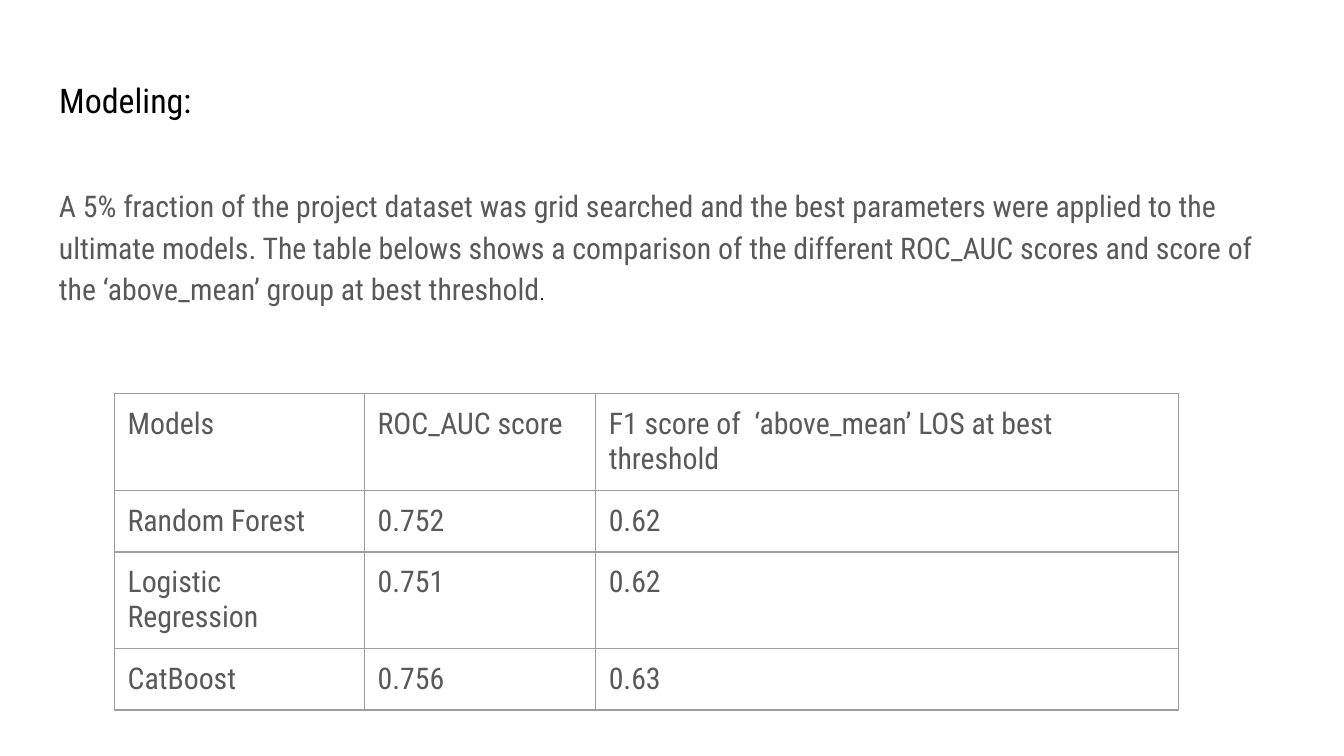
import pptx
import pptx.dml.color
import pptx.enum.text
import pptx.oxml
import pptx.oxml.ns
import pptx.util

Inches = pptx.util.Inches
FONT = "Roboto Condensed"
BLACK, GREY, BORDER = "000000", "595959", "9E9E9E"
PADDING = Inches(0.1)


def color(hex_string):
    return pptx.dml.color.RGBColor.from_string(hex_string)


def add_run(paragraph, text, size, hex_string, font=FONT):
    run = paragraph.add_run()
    run.text = text
    run.font.size = pptx.util.Pt(size)
    run.font.name = font
    run.font.color.rgb = color(hex_string)


def format_frame(frame):
    frame.word_wrap = True
    frame.auto_size = pptx.enum.text.MSO_AUTO_SIZE.NONE
    frame.vertical_anchor = pptx.enum.text.MSO_ANCHOR.TOP
    frame.margin_left = frame.margin_right = PADDING
    frame.margin_top = frame.margin_bottom = PADDING


def place_title(slide, left, top, width, height):
    title = slide.shapes.title
    title.left, title.top = Inches(left), Inches(top)
    title.width, title.height = Inches(width), Inches(height)
    format_frame(title.text_frame)
    paragraph = title.text_frame.paragraphs[0]
    paragraph.alignment = pptx.enum.text.PP_ALIGN.LEFT
    add_run(paragraph, "Modeling:", 18.2, BLACK)


def place_summary(slide, left, top, width, height):
    summary = slide.shapes.add_textbox(
        Inches(left), Inches(top), Inches(width), Inches(height))
    format_frame(summary.text_frame)
    paragraph = summary.text_frame.paragraphs[0]
    paragraph.line_spacing = 1.15
    paragraph.space_after = pptx.util.Pt(12)
    add_run(paragraph,
            "A 5% fraction of the project dataset was grid searched and the best "
            "parameters were applied to the ultimate models. The table belows shows "
            "a comparison of the different ROC_AUC scores and score of the "
            "‘above_mean’ group at best threshold", 16, GREY)
    add_run(paragraph, ".", 10.5, BLACK, "Roboto")


def format_cell(cell, text):
    cell.margin_left = cell.margin_right = PADDING
    cell.margin_top = cell.margin_bottom = PADDING
    add_run(cell.text_frame.paragraphs[0], text, 16, GREY)
    # Borders come before the fill in the cell properties
    properties = cell._tc.get_or_add_tcPr()
    for side in ("lnL", "lnR", "lnT", "lnB"):
        properties.append(pptx.oxml.parse_xml(
            f'<a:{side} {pptx.oxml.ns.nsdecls("a")} w="{pptx.util.Pt(0.75)}">'
            f'<a:solidFill><a:srgbClr val="{BORDER}"/></a:solidFill></a:{side}>'))
    cell.fill.background()


def place_scores(slide, left, top, column_widths, row_heights):
    scores = [
        ("Models", "ROC_AUC score", "F1 score of  ‘above_mean’ LOS at best threshold"),
        ("Random Forest", "0.752", "0.62"),
        ("Logistic Regression", "0.751", "0.62"),
        ("CatBoost ", "0.756", "0.63"),
    ]
    table = slide.shapes.add_table(
        len(scores), len(column_widths), Inches(left), Inches(top),
        Inches(sum(column_widths)), Inches(sum(row_heights))).table
    table.first_row = table.horz_banding = False
    for column, width in zip(table.columns, column_widths):
        column.width = Inches(width)
    for row, height, texts in zip(table.rows, row_heights, scores):
        row.height = Inches(height)
        for cell, text in zip(row.cells, texts):
            format_cell(cell, text)


def build_modeling_slide(presentation):
    slide = presentation.slides.add_slide(presentation.slide_layouts[5])
    left, width = 0.34, 9.32
    place_title(slide, left, 0.49, width, 0.63)
    place_summary(slide, left, 1.26, width, 3.74)
    single, double = 0.46, 0.71  # row heights for one and two lines of text
    place_scores(slide, left + 0.51, 2.93, (1.86, 1.72, 4.34),
                 (double, single, double, single))


presentation = pptx.Presentation()
# Widescreen, 16 to 9
presentation.slide_width = Inches(10)
presentation.slide_height = Inches(10 * 9 / 16)
build_modeling_slide(presentation)
presentation.save("out.pptx")
